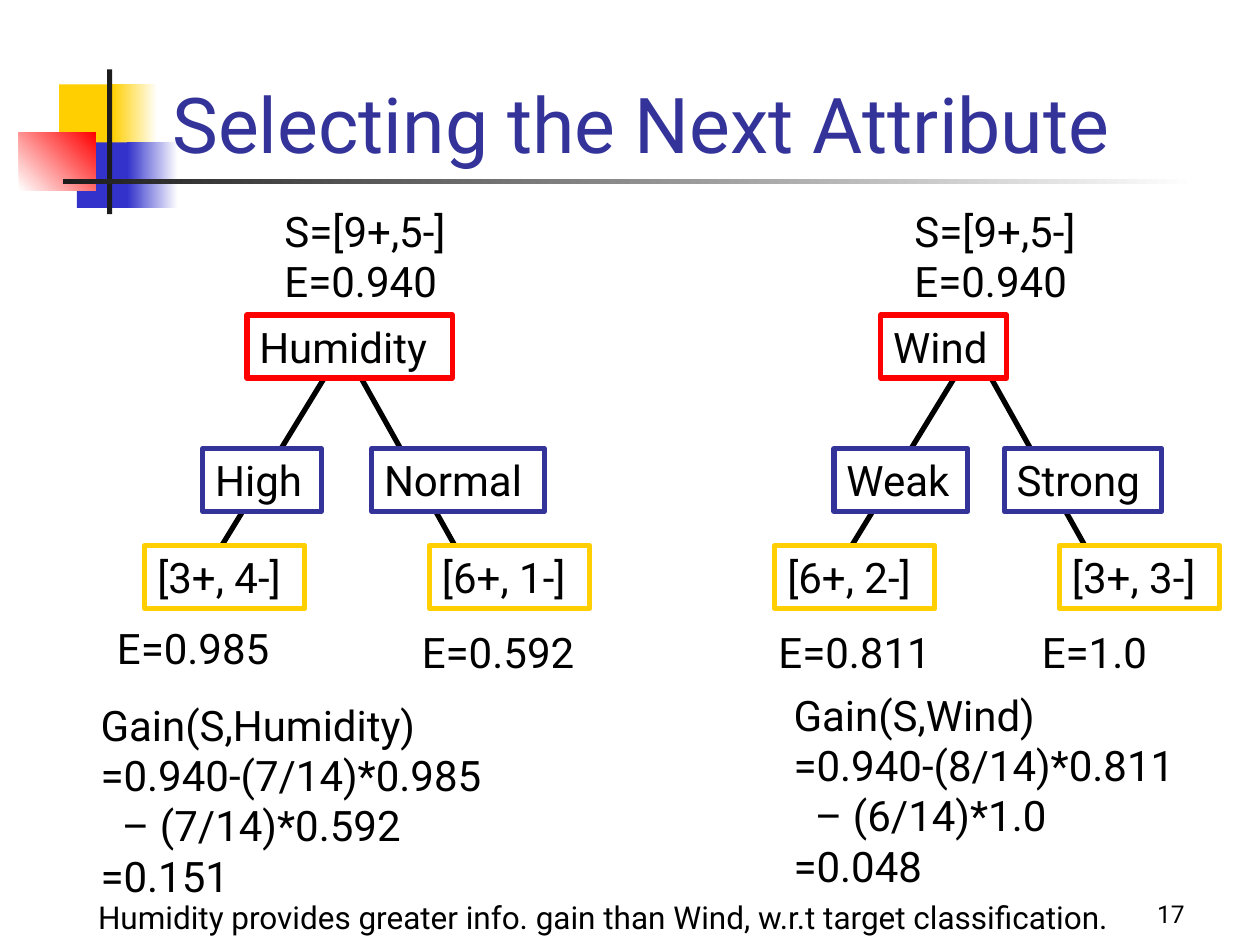
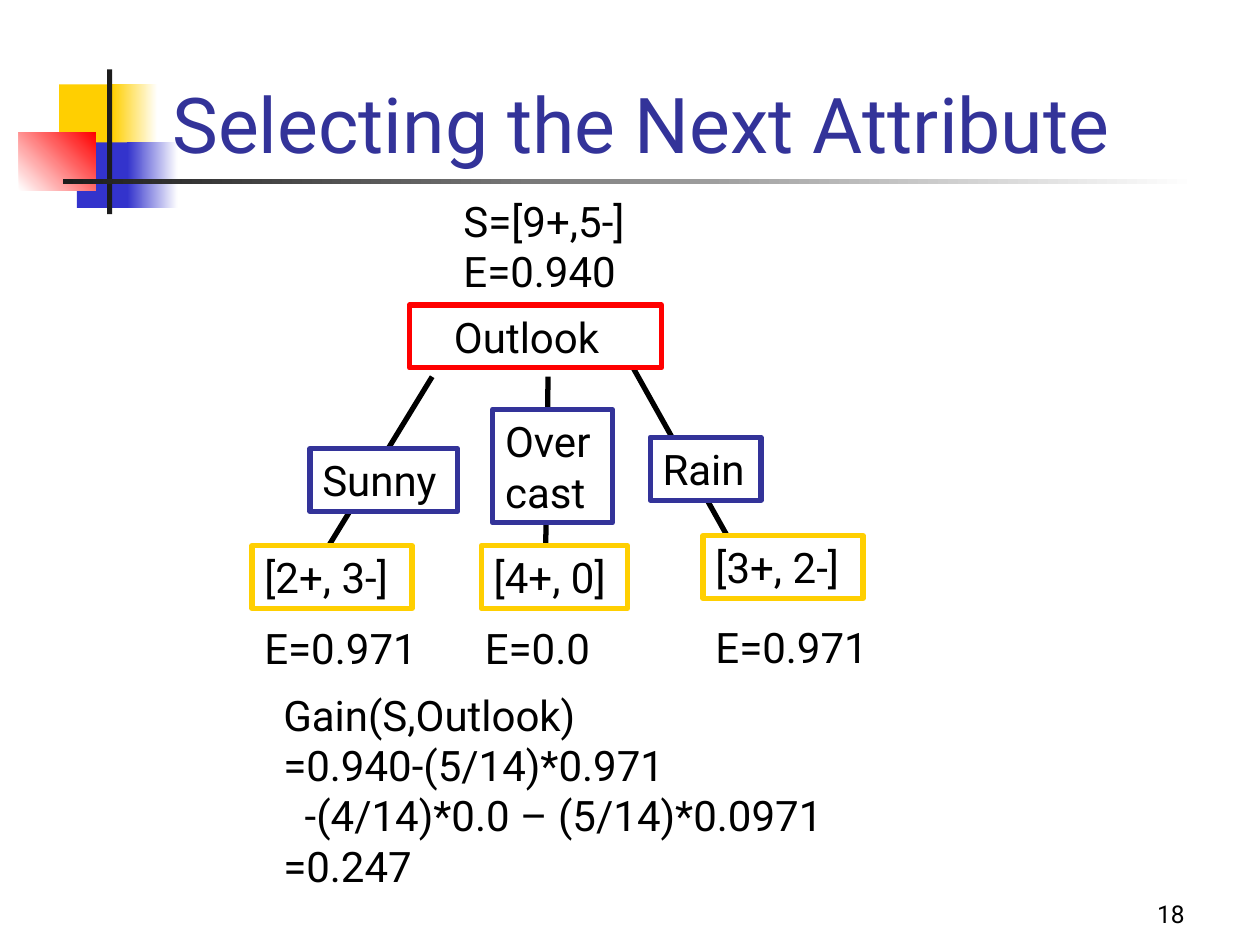
"""Build two decision-tree slides that compare information gain by attribute."""
from dataclasses import dataclass

from lxml import etree
from pptx import Presentation
from pptx import util as u
from pptx.dml.color import RGBColor
from pptx.enum import shapes, text
from pptx.oxml import ns


@dataclass(frozen=True)
class Theme:
    font: str = "Roboto"
    title_size: int = 44
    body_size: int = 24
    note_size: int = 18
    number_size: int = 14
    ink: str = "000000"
    paper: str = "FFFFFF"
    title: str = "333399"
    root: str = "FF0000"
    branch: str = "333399"
    leaf: str = "FFCF01"
    block: str = "3333CC"
    rule: str = "1C1C1C"
    stroke: int = 3


@dataclass(frozen=True)
class Branch:
    label: str
    left: float
    width: float
    counts: str
    leaf_left: float
    entropy: str
    entropy_left: float
    line_start: float
    reach: float
    top: float = 3.56
    height: float = 0.5
    leaf_top: float = 4.33
    leaf_width: float = 1.27
    entropy_top: float = 4.92
    tight: bool = False
    line_top: float = 2.99
    line_drop: float = 1.34


THEME = Theme()
TITLE = "Selecting the Next Attribute"
SAMPLE = "S=[9+,5-]\nE=0.940"
STEP = 0.17
LEFT_REACH, RIGHT_REACH = -0.82, 0.75


def write(frame, content, *, size=THEME.body_size, color=THEME.ink, align="LEFT",
          anchor="TOP", spacing=None, indents=None):
    frame.word_wrap = True
    frame.vertical_anchor = getattr(text.MSO_ANCHOR, anchor)
    for index, line in enumerate(content.split("\n")):
        para = frame.paragraphs[0] if index == 0 else frame.add_paragraph()
        para.alignment = getattr(text.PP_ALIGN, align)
        if spacing:
            para.line_spacing = spacing
        if indents and index in indents:
            para._p.get_or_add_pPr().set("marL", str(u.Inches(indents[index])))
        span = para.add_run()
        span.text = line
        span.font.name = THEME.font
        span.font.size = u.Pt(size)
        span.font.color.rgb = RGBColor.from_string(color)


class Slides:
    def __init__(self, theme):
        self.theme = theme
        self.deck = Presentation()
        self.deck.slide_width, self.deck.slide_height = u.Inches(10), u.Inches(7.5)
        self.page = None

    def start(self, number):
        theme = self.theme
        self.page = self.deck.slides.add_slide(self.deck.slide_layouts[6])
        self.block((0.47, 0.67, 0.48, 0.52), theme.leaf)
        self.block((0.89, 0.67, 0.36, 0.52), theme.leaf, theme.paper)
        self.block((0.61, 1.13, 0.46, 0.52), theme.block)
        self.block((1.01, 1.13, 0.4, 0.52), theme.block, theme.paper)
        self.block((0.15, 1.05, 0.61, 0.46), theme.paper, theme.root, angle=45)
        self.block((0.85, 0.55, 0.04, 1.15), theme.rule)
        self.block((0.5, 1.42, 9, 0.04), theme.rule, theme.paper)
        self.label((7.42, 6.92, 2.08, 0.5), str(number), size=theme.number_size,
                   align="RIGHT", anchor="BOTTOM")
        self.label((1.27, 0.14, 8.52, 1.25), TITLE, size=theme.title_size,
                   color=theme.title, anchor="BOTTOM")

    def block(self, area, color, fade_to=None, angle=0):
        box = self.page.shapes.add_shape(shapes.MSO_SHAPE.RECTANGLE, *map(u.Inches, area))
        box.shadow.inherit = False
        box.line.fill.background()
        if fade_to:
            box.fill.gradient()
            box.fill.gradient_angle = angle
            for stop, tone in zip(box.fill.gradient_stops, (color, fade_to)):
                stop.color.rgb = RGBColor.from_string(tone)
        else:
            box.fill.solid()
            box.fill.fore_color.rgb = RGBColor.from_string(color)
        return box

    def node(self, area, content, outline, **style):
        box = self.block(area, self.theme.paper)
        box.line.color.rgb = RGBColor.from_string(outline)
        box.line.width = u.Pt(self.theme.stroke)
        write(box.text_frame, content, **style)

    def label(self, area, content, **style):
        box = self.page.shapes.add_textbox(*map(u.Inches, area))
        write(box.text_frame, content, **style)

    def link(self, start, end):
        line = self.page.shapes.add_connector(
            shapes.MSO_CONNECTOR.STRAIGHT, *map(u.Inches, start + end))
        line.line.color.rgb = RGBColor.from_string(self.theme.ink)
        line.line.width = u.Pt(self.theme.stroke)
        etree.SubElement(line._element.spPr, ns.qn("a:effectLst"))

    def tree(self, root, root_area, sample_at, branches, root_indents=None):
        for branch in branches:
            self.link((branch.line_start, branch.line_top),
                      (branch.line_start + branch.reach, branch.line_top + branch.line_drop))
        self.node(root_area, root, self.theme.root, indents=root_indents)
        self.label((*sample_at, 1.56, 0.9), SAMPLE)
        for branch in branches:
            self.node((branch.left, branch.top, branch.width, branch.height),
                      branch.label, self.theme.branch)
            self.node((branch.leaf_left, branch.leaf_top, branch.leaf_width, 0.5),
                      branch.counts, self.theme.leaf)
            top, height, spacing = (5, 0.38, 0.7) if branch.tight else (branch.entropy_top, 0.5, None)
            self.label((branch.entropy_left, top, 1.5, height), branch.entropy, spacing=spacing)

    def gain(self, area, content):
        self.label(area, content, indents={2: STEP})


def main():
    slides = Slides(THEME)

    slides.start(17)
    slides.tree("Humidity", (1.96, 2.5, 1.63, 0.5), (2.16, 1.58), [
        Branch("High", 1.61, 0.94, "[3+, 4-]", 1.15, "E=0.985", 0.83,
               2.58, LEFT_REACH, tight=True),
        Branch("Normal", 2.95, 1.37, "[6+, 1-]", 3.41, "E=0.592", 3.25,
               2.86, RIGHT_REACH),
    ])
    slides.gain((0.7, 5.5, 3.37, 1.7),
                "Gain(S,Humidity)\n=0.940-(7/14)*0.985\n– (7/14)*0.592\n=0.151")
    slides.tree("Wind", (6.99, 2.5, 1, 0.5), (7.16, 1.58), [
        Branch("Weak", 6.62, 1.06, "[6+, 2-]", 6.15, "E=0.811", 6.08,
               7.58, LEFT_REACH),
        Branch("Strong", 7.97, 1.25, "[3+, 3-]", 8.41, "E=1.0", 8.17,
               7.86, RIGHT_REACH),
    ])
    slides.gain((6.2, 5.42, 3.37, 1.7),
                "Gain(S,Wind)\n=0.940-(8/14)*0.811\n– (6/14)*1.0\n=0.048")
    slides.label((0.68, 7.08, 8.8, 0.4),
                 "Humidity provides greater info. gain than Wind, w.r.t target classification.",
                 size=THEME.note_size)

    slides.start(18)
    slides.tree("Outlook", (3.25, 2.42, 2, 0.5), (3.58, 1.5), [
        Branch("Sunny", 2.46, 1.17, "[2+, 3-]", 2, "E=0.971", 2,
               3.43, LEFT_REACH, tight=True),
        Branch("Over\ncast", 3.91, 0.95, "[4+, 0]", 3.82, "E=0.0", 3.75,
               4.35, -0.02, top=3.25, height=0.9, leaf_width=1.16, tight=True,
               line_drop=1.43),
        Branch("Rain", 5.16, 0.88, "[3+, 2-]", 5.58, "E=0.971", 5.58,
               5.02, RIGHT_REACH, top=3.47, leaf_top=4.25, entropy_top=4.88,
               line_top=2.91),
    ], root_indents={0: 1.5 * STEP})
    slides.gain((2.15, 5.42, 4.49, 1.7),
                "Gain(S,Outlook)\n=0.940-(5/14)*0.971\n-(4/14)*0.0 – (5/14)*0.0971\n=0.247")

    slides.deck.save("out.pptx")


if __name__ == "__main__":
    main()
